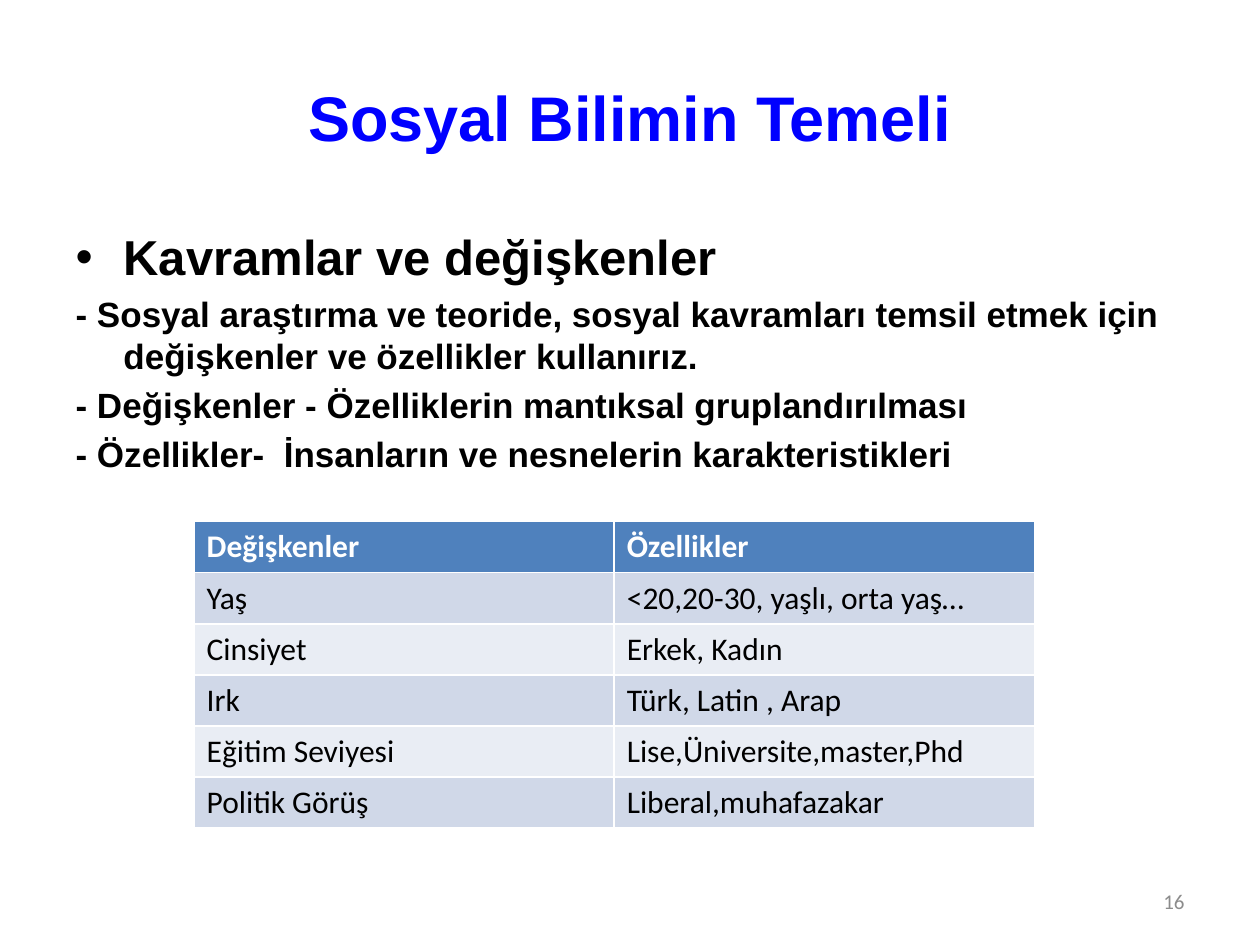
from pptx import Presentation
from pptx.dml.color import RGBColor as RGB
from pptx.enum.text import MSO_ANCHOR as Anchor, PP_ALIGN as Align
from pptx.oxml.ns import qn
from pptx.util import Inches, Pt
from lxml.etree import SubElement

BLUE = RGB(0x00, 0x00, 0xFF)
BLACK = RGB(0x00, 0x00, 0x00)
WHITE = RGB(0xFF, 0xFF, 0xFF)
GRAY = RGB(0x8C, 0x8C, 0x8C)
HEAD = RGB(0x4F, 0x81, 0xBD)
BANDS = [RGB(0xE9, 0xED, 0xF4), RGB(0xD0, 0xD8, 0xE8)]

POINTS = [
    "Kavramlar ve değişkenler",
    "- Sosyal araştırma ve teoride, sosyal kavramları temsil etmek için "
    "değişkenler ve özellikler kullanırız.",
    "- Değişkenler - Özelliklerin mantıksal gruplandırılması",
    "- Özellikler-  İnsanların ve nesnelerin karakteristikleri",
]
ROWS = [
    ("Değişkenler", "Özellikler"),
    ("Yaş", "<20,20-30, yaşlı, orta yaş…"),
    ("Cinsiyet", "Erkek, Kadın"),
    ("Irk", "Türk, Latin , Arap"),
    ("Eğitim Seviyesi", "Lise,Üniversite,master,Phd"),
    ("Politik Görüş", "Liberal,muhafazakar"),
]


def write(para, text, color, **look):
    run = para.add_run()
    run.text = text
    run.font.color.rgb = color
    for key, value in look.items():
        setattr(run.font, key, value)


def place(shape, box):
    for key, value in zip(("left", "top", "width", "height"), box):
        setattr(shape, key, Inches(value))


def add_title(slide, box):
    title = slide.shapes.title
    place(title, box)
    frame = title.text_frame
    frame.vertical_anchor = Anchor.MIDDLE
    para = frame.paragraphs[0]
    para.alignment = Align.CENTER
    write(para, "Sosyal Bilimin Temeli", BLUE,
          name="Arial", size=Pt(36), bold=True)


def add_list(slide, box):
    """Fill the body with one bulleted heading and dashed lines under it."""
    body = slide.placeholders[1]
    place(body, box)
    frame = body.text_frame
    for i, text in enumerate(POINTS):
        para = frame.add_paragraph() if i else frame.paragraphs[0]
        size = 20 if i else 28
        para.space_before = Pt(size * 0.2 if i else 0)
        props = para._p.get_or_add_pPr()
        props.set("marL", str(Inches(0.38)))
        props.set("indent", str(Inches(-0.38)))
        if i:
            SubElement(props, qn("a:buNone"))
        else:
            SubElement(props, qn("a:buFont"), typeface="Arial")
            SubElement(props, qn("a:buChar"), char="•")
        write(para, text, BLACK, name="Arial", size=Pt(size), bold=True)


def add_grid(slide, box):
    """Add the table; its default style draws the white borders."""
    size = [Inches(v) for v in box]
    table = slide.shapes.add_table(len(ROWS), len(ROWS[0]), *size).table
    for r, row in enumerate(ROWS):
        for c, text in enumerate(row):
            cell = table.cell(r, c)
            cell.fill.solid()
            cell.fill.fore_color.rgb = BANDS[r % 2] if r else HEAD
            write(cell.text_frame.paragraphs[0], text,
                  BLACK if r else WHITE,
                  name="Calibri", size=Pt(18), bold=r == 0)


def add_number(slide, box):
    frame = slide.shapes.add_textbox(*[Inches(v) for v in box]).text_frame
    frame.word_wrap = True
    frame.vertical_anchor = Anchor.MIDDLE
    para = frame.paragraphs[0]
    para.alignment = Align.RIGHT
    write(para, "16", GRAY, name="Calibri", size=Pt(12))


def main():
    deck = Presentation()
    deck.slide_width, deck.slide_height = Inches(10), Inches(7.5)
    slide = deck.slides.add_slide(deck.slide_layouts[1])
    add_title(slide, (0.5, 0.3, 9, 1.25))
    add_list(slide, (0.5, 1.75, 9, 4.95))
    add_grid(slide, (1.54, 4.14, 6.67, 2.43))
    add_number(slide, (7.17, 6.95, 2.33, 0.4))
    deck.save("out.pptx")


if __name__ == "__main__":
    main()
